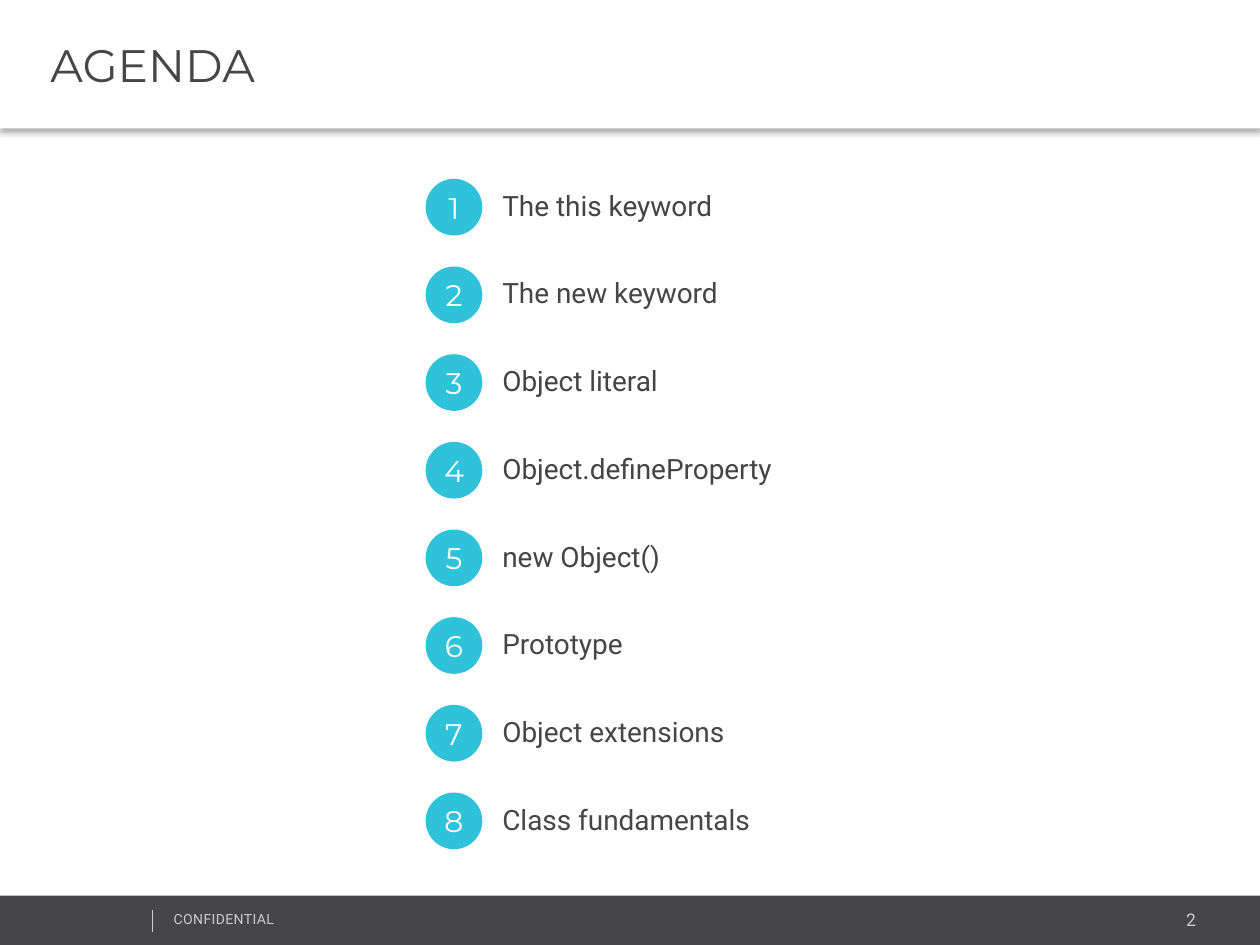
from dataclasses import dataclass

from lxml import etree
from pptx import Presentation
from pptx.dml.color import RGBColor
from pptx.enum.shapes import MSO_CONNECTOR, MSO_SHAPE
from pptx.enum.text import MSO_ANCHOR, MSO_AUTO_SIZE, PP_ALIGN
from pptx.oxml.ns import qn
from pptx.util import Pt

RECTANGLE, ELLIPSE = MSO_SHAPE.RECTANGLE, MSO_SHAPE.OVAL
STRAIGHT = MSO_CONNECTOR.STRAIGHT
LEFT, CENTER, RIGHT = PP_ALIGN.LEFT, PP_ALIGN.CENTER, PP_ALIGN.RIGHT
MIDDLE = MSO_ANCHOR.MIDDLE
GROW = MSO_AUTO_SIZE.SHAPE_TO_FIT_TEXT


@dataclass(frozen=True)
class Theme:
    white: str = "FFFFFF"
    dark: str = "464547"
    grey: str = "444444"
    pale: str = "CCCCCC"
    accent: str = "2FC2D9"
    shadow: str = "000000"
    heading_font: str = "Montserrat"
    body_font: str = "Roboto"
    title_size: float = 26
    number_size: float = 17
    label_size: float = 16
    page_size: float = 10
    footer_size: float = 8


THEME = Theme()

# Text formats
TITLE = {"name": THEME.heading_font, "size": Pt(THEME.title_size), "color": THEME.dark}
NUMBER = {"name": THEME.heading_font, "size": Pt(THEME.number_size), "color": THEME.white}
LABEL = {"name": THEME.body_font, "size": Pt(THEME.label_size), "color": THEME.dark}
PAGE = {"name": THEME.body_font, "size": Pt(THEME.page_size), "color": THEME.pale}
FOOTER = {"name": THEME.body_font, "size": Pt(THEME.footer_size), "color": THEME.pale}

# Frame formats
GROWING = {"word_wrap": True, "auto_size": GROW}
TITLE_FRAME = {"word_wrap": True, "vertical_anchor": MIDDLE, "margin_left": Pt(28.8),
               "margin_right": Pt(7.2), "margin_top": Pt(3.6), "margin_bottom": Pt(3.6)}
NUMBER_FRAME = {"word_wrap": False, "vertical_anchor": MIDDLE, "margin_left": Pt(7.2),
                "margin_right": Pt(7.2), "margin_top": Pt(7.2), "margin_bottom": Pt(0)}

AGENDA = [
    ("The this keyword", THEME.grey),
    ("The new keyword", THEME.dark),
    ("Object literal", THEME.grey),
    ("Object.defineProperty", THEME.grey),
    ("new Object()", THEME.grey),
    ("Prototype", THEME.dark),
    ("Object extensions", THEME.dark),
    ("Class fundamentals", THEME.dark),
]
FIRST_TOP, ROW_PITCH = 102.2, 50.1
CIRCLE_LEFT, CIRCLE_SIZE = 243.2, 32.4


class SlideBuilder:
    def __init__(self, slide, theme):
        self.slide = slide
        self.theme = theme

    def background(self, color):
        fill = self.slide.background.fill
        fill.solid()
        fill.fore_color.rgb = RGBColor.from_string(color)

    def shape(self, kind, left, top, width, height, color, parent=None):
        shapes = (parent or self.slide).shapes
        shape = shapes.add_shape(kind, Pt(left), Pt(top), Pt(width), Pt(height))
        shape.shadow.inherit = False
        shape.fill.solid()
        shape.fill.fore_color.rgb = RGBColor.from_string(color)
        shape.line.fill.background()
        return shape

    def fill_text(self, shape, text, font_format, frame_format, align=LEFT, spacing=None):
        frame = shape.text_frame
        for name, value in frame_format.items():
            setattr(frame, name, value)
        para = frame.paragraphs[0]
        para.alignment = align
        span = para.add_run()
        span.text = text
        for name, value in font_format.items():
            if name == "color":
                span.font.color.rgb = RGBColor.from_string(value)
            else:
                setattr(span.font, name, value)
        if spacing:
            span._r.get_or_add_rPr().set("spc", str(round(spacing * 100)))

    def text(self, left, top, width, height, text, font_format,
             frame_format=GROWING, align=LEFT, spacing=None, parent=None):
        shapes = (parent or self.slide).shapes
        box = shapes.add_textbox(Pt(left), Pt(top), Pt(width), Pt(height))
        self.fill_text(box, text, font_format, frame_format, align, spacing)

    def line(self, start_x, start_y, end_x, end_y, color, weight):
        line = self.slide.shapes.add_connector(
            STRAIGHT, Pt(start_x), Pt(start_y), Pt(end_x), Pt(end_y))
        line.line.color.rgb = RGBColor.from_string(color)
        line.line.width = Pt(weight)
        etree.SubElement(line._element.spPr, qn("a:effectLst"))

    def drop_shadow(self, shape, blur, distance, opacity):
        effects = shape._element.spPr.find(qn("a:effectLst"))
        shadow = etree.SubElement(
            effects, qn("a:outerShdw"), blurRad=str(Pt(blur)), dist=str(Pt(distance)),
            dir=str(90 * 60000), algn="t", rotWithShape="0")
        color = etree.SubElement(shadow, qn("a:srgbClr"), val=self.theme.shadow)
        etree.SubElement(color, qn("a:alpha"), val=str(opacity * 1000))

    def agenda_item(self, number, label, color, top):
        group = self.slide.shapes.add_group_shape()
        self.text(280, top + 1.9, 576, 26.6, label, {**LABEL, "color": color}, parent=group)
        self.shape(ELLIPSE, CIRCLE_LEFT, top, CIRCLE_SIZE, CIRCLE_SIZE,
                   self.theme.accent, parent=group)
        self.text(CIRCLE_LEFT + 3.6, top + 2.9, 25.2, 19.4, str(number), NUMBER,
                  NUMBER_FRAME, CENTER, parent=group)


def main():
    deck = Presentation()
    deck.slide_width, deck.slide_height = Pt(720), Pt(540)
    page = SlideBuilder(deck.slides.add_slide(deck.slide_layouts[6]), THEME)
    page.background(THEME.white)

    # Footer
    page.shape(RECTANGLE, 0, 511.8, 720, 28.8, THEME.dark)
    page.text(573, 516, 117.4, 19.4, "2", PAGE, align=RIGHT)
    page.text(92.2, 516.8, 182.2, 17.3, "CONFIDENTIAL", FOOTER, spacing=0.2)
    page.line(87.1, 520, 87.1, 532.6, THEME.pale, 0.25)

    # Title band
    band = page.shape(RECTANGLE, 0, 0, 720, 73.4, THEME.white)
    page.drop_shadow(band, blur=3.1, distance=2, opacity=30)
    page.fill_text(band, "AGENDA", TITLE, TITLE_FRAME)

    # Numbered agenda
    for index, (label, color) in enumerate(AGENDA):
        page.agenda_item(index + 1, label, color, FIRST_TOP + index * ROW_PITCH)

    deck.save("out.pptx")


if __name__ == "__main__":
    main()
